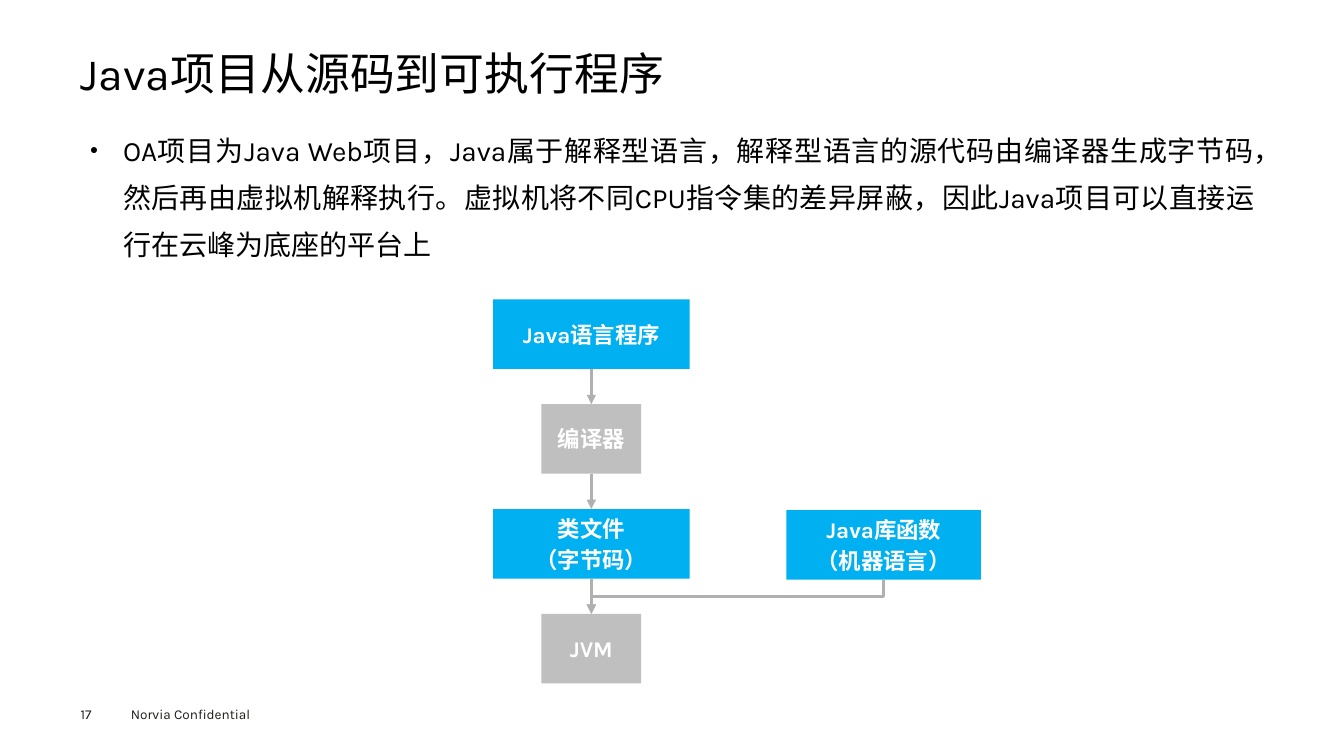
from dataclasses import dataclass

from lxml.etree import SubElement
from pptx import Presentation
from pptx.dml.color import RGBColor
from pptx.enum.shapes import MSO_CONNECTOR as CONN, MSO_SHAPE as SHAPE
from pptx.enum.text import MSO_ANCHOR as ANCHOR, MSO_AUTO_SIZE as AUTO, PP_ALIGN as ALIGN
from pptx.oxml.ns import qn
from pptx.util import Emu, Inches, Pt

FONT = "Karla"
BLUE, GREY, LINE = "00B0F0", "BFBFBF", "B0B0B0"
BLACK, WHITE, FOOTER = "000000", "FFFFFF", "1D1D1B"
TOP, PITCH, BOX_H = 2.97, 1.04, 0.69


@dataclass
class Box:
    lines: list[str]
    left: float
    top: float
    width: float
    fill: str


def rgb(value: str) -> RGBColor:
    return RGBColor.from_string(value)


def add_run(p, text: str, size: float, color: str, bold: bool = False) -> None:
    r = p.add_run()
    r.text = text
    r.font.size, r.font.bold, r.font.name = Pt(size), bold, FONT
    r.font.color.rgb = rgb(color)
    SubElement(r.font._element, qn("a:ea"), typeface=FONT)


def set_frame(tf, margin_x: float, margin_y: float, anchor=ANCHOR.TOP) -> None:
    tf.word_wrap, tf.auto_size, tf.vertical_anchor = True, AUTO.NONE, anchor
    tf.margin_left = tf.margin_right = Inches(margin_x)
    tf.margin_top = tf.margin_bottom = Inches(margin_y)


def place(sp, left: float, top: float, width: float, height: float) -> None:
    sp.left, sp.top = Inches(left), Inches(top)
    sp.width, sp.height = Inches(width), Inches(height)


def add_box(s, box: Box):
    sp = s.shapes.add_shape(SHAPE.RECTANGLE, Inches(box.left), Inches(box.top),
                            Inches(box.width), Inches(BOX_H))
    sp.shadow.inherit = False
    sp.fill.solid()
    sp.fill.fore_color.rgb = rgb(box.fill)
    sp.line.fill.background()
    tf = sp.text_frame
    set_frame(tf, 0.1, 0.05, ANCHOR.MIDDLE)
    for i, line in enumerate(box.lines):
        p = tf.add_paragraph() if i else tf.paragraphs[0]
        p.alignment = ALIGN.CENTER
        if i:
            p.space_before = Pt(3)
        add_run(p, line, 16, WHITE, bold=True)
    return sp


def style_arrow(conn) -> None:
    conn.line.color.rgb = rgb(LINE)
    conn.line.width = Pt(2.25)
    SubElement(conn.line._get_or_add_ln(), qn("a:tailEnd"), type="triangle")
    SubElement(conn._element.spPr, qn("a:effectLst"))


def add_arrow(s, upper, lower) -> None:
    conn = s.shapes.add_connector(CONN.STRAIGHT, 0, 0, 0, 0)
    conn.begin_connect(upper, 2)
    conn.end_connect(lower, 0)
    style_arrow(conn)


def add_elbow(s, source, target) -> None:
    """Run down, left and down: a bent connector turned by 90 degrees."""
    x1, y1 = source.left + source.width // 2, source.top + source.height
    x2, y2 = target.left + target.width // 2, target.top
    run, drop = x1 - x2, y2 - y1
    left, top = (x1 + x2 - drop) // 2, (y1 + y2 - run) // 2
    conn = s.shapes.add_connector(CONN.ELBOW, Emu(left), Emu(top),
                                  Emu(left + drop), Emu(top + run))
    conn._element.spPr.find(qn("a:xfrm")).set("rot", "5400000")
    style_arrow(conn)


def add_label(s, text: str, left: float, top: float, width: float, height: float,
              margin_x: float, margin_y: float) -> None:
    sp = s.shapes.add_textbox(0, 0, 0, 0)
    place(sp, left, top, width, height)
    set_frame(sp.text_frame, margin_x, margin_y)
    add_run(sp.text_frame.paragraphs[0], text, 9.7, FOOTER)


def main() -> None:
    prs = Presentation()
    prs.slide_width, prs.slide_height = Inches(13.33), Inches(7.5)
    s = prs.slides.add_slide(prs.slide_layouts[1])

    # Title
    title = s.shapes.title
    place(title, 0.8, 0.49, 11.73, 0.53)
    set_frame(title.text_frame, 0, 0, ANCHOR.MIDDLE)
    p = title.text_frame.paragraphs[0]
    p.alignment, p.line_spacing = ALIGN.LEFT, 0.9
    add_run(p, "Java项目从源码到可执行程序", 32, BLACK)

    # Bulleted explanation
    body = s.placeholders[1]
    place(body, 0.8, 1.15, 11.73, 5.34)
    set_frame(body.text_frame, 0.09, 0.04)
    p = body.text_frame.paragraphs[0]
    pPr = p._p.get_or_add_pPr()
    pPr.set("marL", str(Inches(0.33)))
    pPr.set("indent", str(-Inches(0.33)))
    SubElement(pPr, qn("a:buSzPct"), val="50000")
    SubElement(pPr, qn("a:buChar"), char="●")
    p.alignment, p.line_spacing, p.space_before = ALIGN.JUSTIFY, 1.4, Pt(0)
    add_run(p, "OA项目为Java Web项目，Java属于解释型语言，解释型语言的源代码由编译器"
               "生成字节码，然后再由虚拟机解释执行。虚拟机将不同CPU指令集的差异屏蔽，"
               "因此Java项目可以直接运行在云峰为底座的平台上", 20, BLACK)

    # Compilation chain and library box
    steps = [(["Java语言程序"], 4.89, 1.95, BLUE),
             (["编译器"], 5.37, 0.99, GREY),
             (["类文件", "（字节码）"], 4.89, 1.95, BLUE),
             (["JVM"], 5.37, 0.99, GREY)]
    chain = [add_box(s, Box(lines, left, TOP + i * PITCH, width, fill))
             for i, (lines, left, width, fill) in enumerate(steps)]
    library = add_box(s, Box(["Java库函数", "（机器语言）"], 7.8, 5.06, 1.93, BLUE))

    # Arrows
    for upper, lower in zip(chain, chain[1:]):
        add_arrow(s, upper, lower)
    add_elbow(s, library, chain[-1])

    # Footer
    add_label(s, "17", 0.8, 7, 0.55, 0.16, 0, 0)
    add_label(s, "Norvia Confidential", 1.2, 6.95, 1.6, 0.27, 0.1, 0.05)

    prs.save("out.pptx")


if __name__ == "__main__":
    main()
